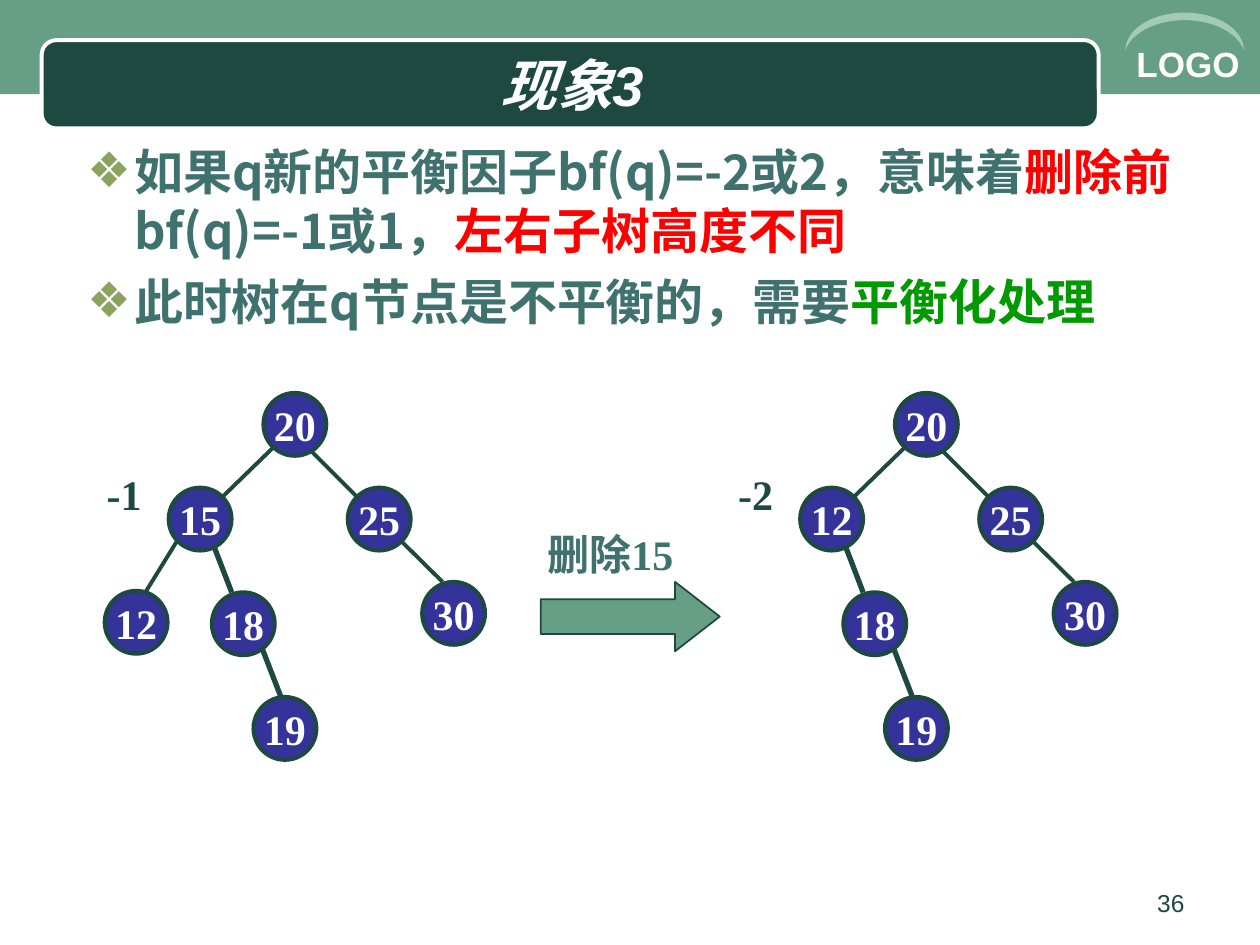
from lxml import etree
from pptx import Presentation
from pptx.dml.color import RGBColor
from pptx.enum.shapes import MSO_CONNECTOR, MSO_SHAPE
from pptx.enum.text import MSO_ANCHOR, MSO_AUTO_SIZE, PP_ALIGN
from pptx.oxml.ns import qn
from pptx.util import Cm, Pt

STRAIGHT = MSO_CONNECTOR.STRAIGHT
RECT, ROUNDED = MSO_SHAPE.RECTANGLE, MSO_SHAPE.ROUNDED_RECTANGLE
OVAL, ARROW, MOON = MSO_SHAPE.OVAL, MSO_SHAPE.RIGHT_ARROW, MSO_SHAPE.MOON
LEFT, CENTER, RIGHT = PP_ALIGN.LEFT, PP_ALIGN.CENTER, PP_ALIGN.RIGHT
TOP, MIDDLE, BOTTOM = MSO_ANCHOR.TOP, MSO_ANCHOR.MIDDLE, MSO_ANCHOR.BOTTOM

WHITE = RGBColor(0xFF, 0xFF, 0xFF)
DARK = RGBColor(0x1D, 0x49, 0x40)
GREEN = RGBColor(0x66, 0x9E, 0x86)
PALE = RGBColor(0xA2, 0xCA, 0xB4)
TEAL = RGBColor(0x3F, 0x71, 0x6F)
RED = RGBColor(0xFF, 0x00, 0x00)
BRIGHT = RGBColor(0x00, 0x99, 0x00)
NAVY = RGBColor(0x33, 0x33, 0x99)
OLIVE = "8CA35F"
SANS, SERIF, CJK = "Arial", "Times New Roman", "Noto Sans CJK SC"

# Content
TITLE = "现象3"
BULLETS = [
    [("如果q新的平衡因子bf(q)=-2或2，意味着", TEAL), ("删除前", RED),
     ("bf(q)=-1或1，", TEAL), ("左右子树高度不同", RED)],
    [("此时树在q节点是不平衡的，需要", TEAL), ("平衡化处理", BRIGHT)],
]
ACTION = "删除15"
PAGE_NUMBER = "36"

# Tree layout in cm: top left corner of each node, ends of each edge
NODE_SIZE = 1.27
PLACES = {
    "root": (5.31, 7.92), "left": (3.4, 9.83), "right": (7.01, 9.83),
    "left left": (2.11, 11.91), "left right": (4.27, 11.94),
    "right right": (8.51, 11.73), "deepest": (5.11, 14.05),
}
EDGES = {  # keyed by the child node: start, end, width
    "left": (5.54, 8.99, 4.47, 10.03, 2.25),
    "right": (6.17, 8.99, 7.44, 10.26, 2.25),
    "left left": (3.56, 10.92, 2.9, 11.99, 2.25),
    "left right": (4.27, 10.9, 4.67, 11.94, 3),
    "right right": (8.08, 10.9, 8.92, 11.73, 2.25),
    "deepest": (5.28, 13.06, 5.69, 14.12, 3),
}
SHARED = {"root": "20", "right": "25", "left right": "18",
          "right right": "30", "deepest": "19"}
TREES = [  # offset, balance factor, node values
    (0, "-1", {**SHARED, "left": "15", "left left": "12"}),
    (12.73, "-2", {**SHARED, "left": "12"}),
]


def style(span, size, color, latin, bold=True, italic=False):
    font = span.font
    font.size, font.bold, font.italic = Pt(size), bold, italic
    font.name = latin
    font.color.rgb = color
    east = etree.SubElement(font._element, qn("a:ea"))
    east.set("typeface", CJK)


def write(shape, text, size, color, latin, align=LEFT, anchor=TOP,
          wrap=True, **look):
    frame = shape.text_frame
    frame.text = text
    frame.auto_size = MSO_AUTO_SIZE.NONE
    frame.word_wrap, frame.vertical_anchor = wrap, anchor
    para = frame.paragraphs[0]
    para.alignment = align
    style(para.runs[0], size, color, latin, **look)


def place(shape, left, top, width, height):
    shape.left, shape.top = Cm(left), Cm(top)
    shape.width, shape.height = Cm(width), Cm(height)


def add_shape(shapes, kind, left, top, width, height, fill, line=None, weight=1):
    shape = shapes.add_shape(kind, Cm(left), Cm(top), Cm(width), Cm(height))
    shape.shadow.inherit = False
    shape.fill.solid()
    shape.fill.fore_color.rgb = fill
    if line is None:
        shape.line.fill.background()
    else:
        shape.line.color.rgb, shape.line.width = line, Pt(weight)
    return shape


def add_text(shapes, left, top, width, height, *text, **look):
    box = shapes.add_textbox(Cm(left), Cm(top), Cm(width), Cm(height))
    write(box, *text, **look)


def add_edge(shapes, x1, y1, x2, y2, weight):
    edge = shapes.add_connector(STRAIGHT, Cm(x1), Cm(y1), Cm(x2), Cm(y2))
    edge.line.color.rgb, edge.line.width = DARK, Pt(weight)
    etree.SubElement(edge._element.spPr, qn("a:effectLst"))


def add_bullet(para):
    props = para._p.get_or_add_pPr()
    props.set("marL", str(Cm(0.95)))
    props.set("indent", str(-Cm(0.95)))
    color = etree.SubElement(props, qn("a:buClr"))
    etree.SubElement(color, qn("a:srgbClr")).set("val", OLIVE)
    etree.SubElement(props, qn("a:buChar")).set("char", "❖")


def add_tree(page, offset, balance, values):
    shapes = page.shapes.add_group_shape().shapes
    for child, (x1, y1, x2, y2, weight) in EDGES.items():
        if child in values:
            add_edge(shapes, x1 + offset, y1, x2 + offset, y2, weight)
    for name, value in values.items():
        left, top = PLACES[name]
        node = add_shape(shapes, OVAL, left + offset, top, NODE_SIZE, NODE_SIZE,
                         NAVY, DARK, 2.25)
        write(node, value, 24, WHITE, SERIF, align=CENTER, anchor=MIDDLE, wrap=False)
    add_text(shapes, 1.9 + offset, 9.32, 1.42, 1.27, balance, 24, DARK, SERIF)


def main():
    deck = Presentation()
    deck.slide_width, deck.slide_height = Cm(25.4), Cm(19.05)
    page = deck.slides.add_slide(deck.slide_layouts[1])
    shapes = page.shapes
    title, body = page.placeholders

    # Header band
    add_shape(shapes, RECT, 0, 0, 25.4, 1.9, GREEN)
    banner = add_shape(shapes, ROUNDED, 0.84, 0.81, 21.31, 1.78, DARK, WHITE, 2.25)
    banner.adjustments[0] = 0.167
    add_text(shapes, 22.66, 0.74, 2.74, 1.12, "LOGO", 20, WHITE, SANS)
    crescent = add_shape(shapes, MOON, 23.5, -0.56, 0.76, 2.39, PALE)
    crescent.adjustments[0] = 0.2
    crescent.rotation = 90

    # Title and bullets, brought in front of the band
    for holder in (title, body):
        shapes._spTree.append(holder._element)
    place(title, 1.27, 1.09, 20.52, 1.42)
    write(title, TITLE, 32, WHITE, SANS, align=CENTER, anchor=BOTTOM, italic=True)
    place(body, 1.5, 2.72, 23.01, 4.6)
    frame = body.text_frame
    frame.auto_size = MSO_AUTO_SIZE.NONE
    for index, parts in enumerate(BULLETS):
        para = frame.add_paragraph() if index else frame.paragraphs[0]
        add_bullet(para)
        para.space_before = Pt(7 if index else 0)
        for text, color in parts:
            span = para.add_run()
            span.text = text
            style(span, 28, color, CJK)

    # Trees before and after the deletion
    for tree in TREES:
        add_tree(page, *tree)
    add_text(shapes, 10.31, 10.52, 3.99, 1.27, ACTION, 24, TEAL, SERIF, align=CENTER)
    arrow = add_shape(shapes, ARROW, 10.9, 11.73, 3.61, 1.4, GREEN, DARK)
    arrow.adjustments[1] = 0.643

    # Page number
    add_text(shapes, 18.21, 17.78, 5.92, 0.89, PAGE_NUMBER, 14, DARK, SANS,
             align=RIGHT, bold=False)
    deck.save("out.pptx")


if __name__ == "__main__":
    main()
